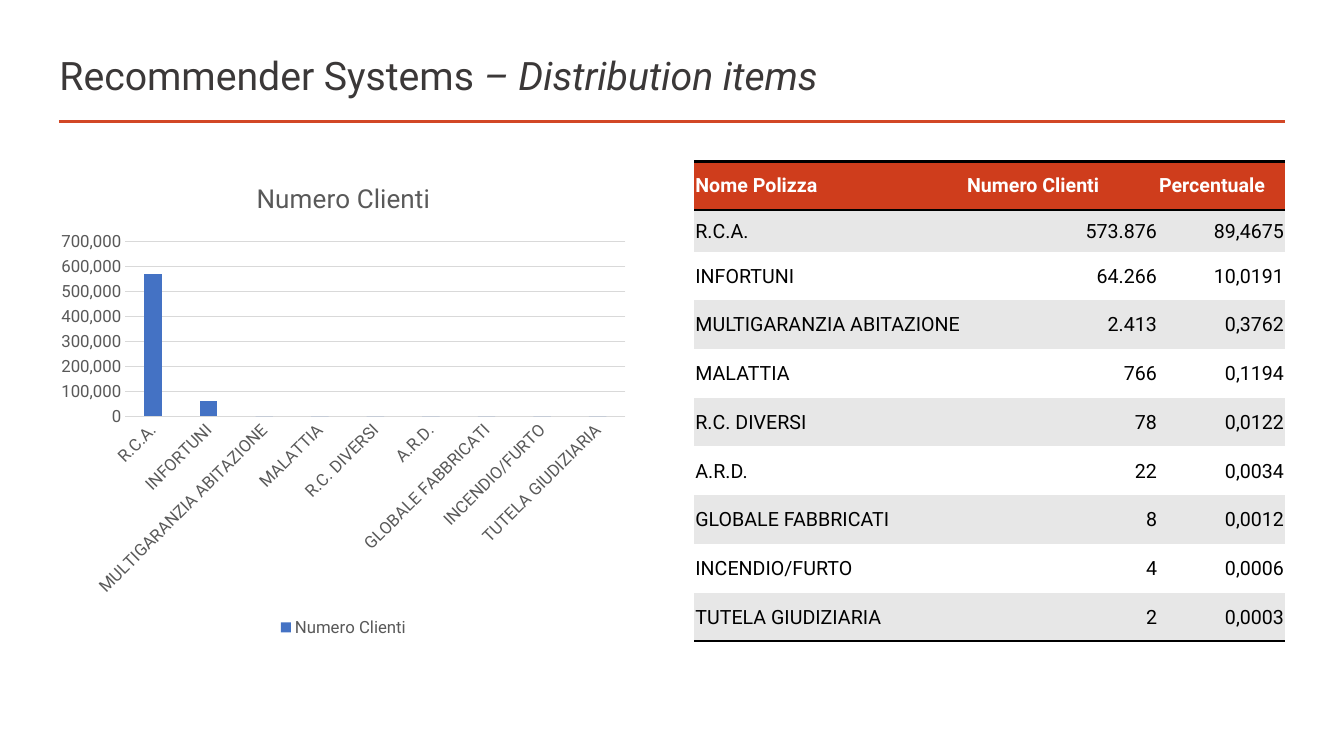
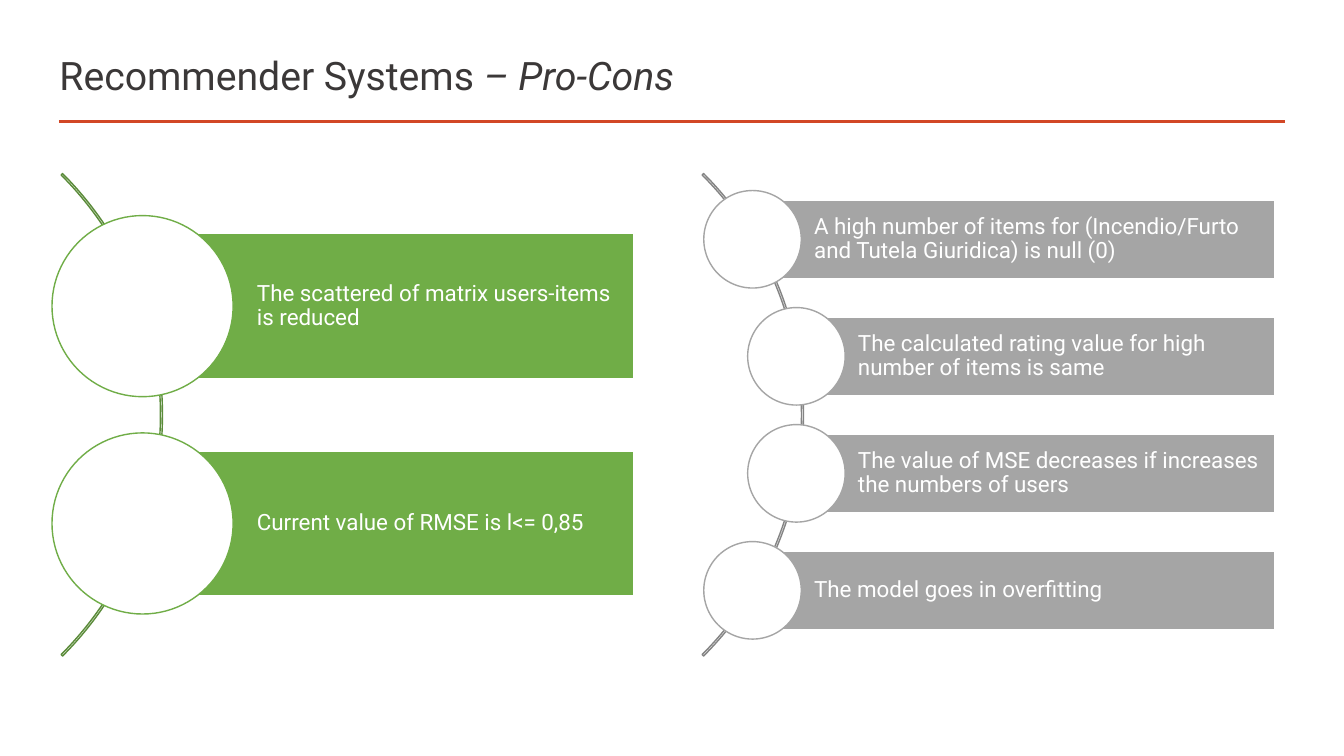
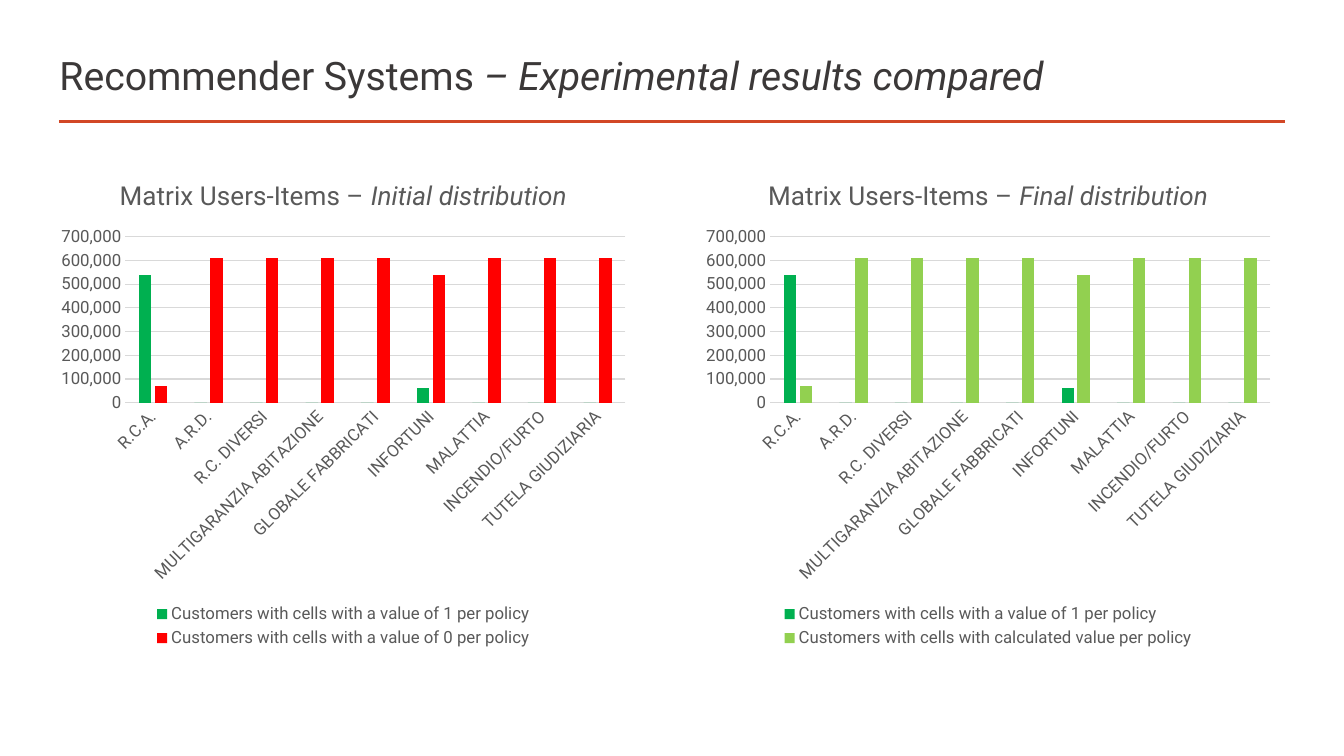
"""Build three slides on recommender systems for insurance policies."""
import math

from pptx import Presentation
from pptx import util as u
from pptx.chart import data as chart_data
from pptx.dml.color import RGBColor
from pptx.enum import chart as charts
from pptx.enum import shapes, text
from pptx.oxml import ns, parse_xml

Pt = u.Pt
FONT = "Roboto"
WHITE = RGBColor(0xFF, 0xFF, 0xFF)
BLACK = RGBColor(0x00, 0x00, 0x00)
TITLE_GRAY = RGBColor(0x3B, 0x38, 0x38)
RULE_RED = RGBColor(0xD2, 0x47, 0x26)
HEADER_RED = RGBColor(0xCF, 0x3D, 0x1C)
BAND_GRAY = RGBColor(0xE7, 0xE7, 0xE7)
CHART_GRAY = RGBColor(0x59, 0x59, 0x59)
GRID_GRAY = RGBColor(0xD9, 0xD9, 0xD9)
BLUE = RGBColor(0x44, 0x72, 0xC4)
GREEN = RGBColor(0x00, 0xB0, 0x50)
LIME = RGBColor(0x92, 0xD0, 0x50)
RED = RGBColor(0xFF, 0x00, 0x00)
PRO_GREEN = RGBColor(0x70, 0xAD, 0x47)
PRO_ARC = RGBColor(0x5A, 0x8B, 0x39)
CON_GRAY = RGBColor(0xA5, 0xA5, 0xA5)
CON_ARC = RGBColor(0x84, 0x84, 0x84)

LEFT, RIGHT, TOP = 35.4, 496, 115.2
CHART_WIDTH = 419.8
NO_TABLE_STYLE = "{2D5ABB26-0587-4C30-8999-92F81FD0307C}"
CELL_INSET = 0.72

HEADERS = ["Nome Polizza", "Numero Clienti", "Percentuale"]
POLICIES = [
    ("R.C.A.", "573.876", "89,4675"),
    ("INFORTUNI", "64.266", "10,0191"),
    ("MULTIGARANZIA ABITAZIONE", "2.413", "0,3762"),
    ("MALATTIA", "766", "0,1194"),
    ("R.C. DIVERSI", "78", "0,0122"),
    ("A.R.D.", "22", "0,0034"),
    ("GLOBALE FABBRICATI", "8", "0,0012"),
    ("INCENDIO/FURTO", "4", "0,0006"),
    ("TUTELA GIUDIZIARIA", "2", "0,0003"),
]
CUSTOMERS = [570000, 60000, 0, 0, 0, 0, 0, 0, 0]
MATRIX_POLICIES = [
    "R.C.A.", "A.R.D.", "R.C. DIVERSI", "MULTIGARANZIA ABITAZIONE",
    "GLOBALE FABBRICATI", "INFORTUNI", "MALATTIA", "INCENDIO/FURTO",
    "TUTELA GIUDIZIARIA",
]
ONES = [540000, 0, 0, 0, 0, 60000, 0, 0, 0]
OTHERS = [70000, 610000, 610000, 610000, 610000, 540000, 610000, 610000, 610000]
PROS = [
    "The scattered of matrix users-items is reduced",
    "Current value of RMSE is l<= 0,85",
]
CONS = [
    "A high number of items for (Incendio/Furto and Tutela Giuridica) is null (0)",
    "The calculated rating value for high number of items is same",
    "The value of MSE decreases if increases the numbers of users",
    "The model goes in overfitting",
]


def style_font(font, size, color, bold=None):
    """Apply the deck's typeface with a size and colour."""
    font.name, font.size, font.bold = FONT, Pt(size), bold
    font.color.rgb = color


def add_two_tone_text(paragraph, plain, italic):
    """Write a plain run followed by an italic one."""
    paragraph.add_run().text = plain
    if italic:
        run = paragraph.add_run()
        run.text = italic
        run.font.italic = True


def add_titled_slide(presentation, topic):
    """Add a blank slide with the shared title and red rule."""
    slide = presentation.slides.add_slide(presentation.slide_layouts[6])
    rule = slide.shapes.add_connector(
        shapes.MSO_CONNECTOR.STRAIGHT, Pt(42), Pt(87), Pt(917.6), Pt(87))
    rule.line.color.rgb = RULE_RED
    rule.line.width = Pt(2)
    properties = rule.element.find(ns.qn("p:spPr"))
    properties.append(properties.makeelement(ns.qn("a:effectLst"), {}))
    frame = slide.shapes.add_textbox(
        Pt(LEFT), Pt(33.6), Pt(882.7), Pt(44)).text_frame
    frame.word_wrap = True
    frame.vertical_anchor = text.MSO_ANCHOR.MIDDLE
    paragraph = frame.paragraphs[0]
    paragraph.line_spacing = 0.9
    add_two_tone_text(paragraph, "Recommender Systems ", "– " + topic)
    style_font(paragraph.font, 28, TITLE_GRAY)
    return slide


def add_column_chart(slide, box, title, categories, series):
    """Draw a clustered column chart from (name, values, colour) series."""
    data = chart_data.CategoryChartData(number_format="#,##0")
    data.categories = categories
    for name, values, _ in series:
        data.add_series(name, values)
    chart = slide.shapes.add_chart(
        charts.XL_CHART_TYPE.COLUMN_CLUSTERED, *map(Pt, box), data).chart
    style_font(chart.font, 10, BLACK)
    chart.has_title = True
    heading = chart.chart_title.text_frame.paragraphs[0]
    add_two_tone_text(heading, *title)
    style_font(heading.font, 18.6, CHART_GRAY, False)
    chart.has_legend = True
    chart.legend.position = charts.XL_LEGEND_POSITION.BOTTOM
    chart.legend.include_in_layout = False
    style_font(chart.legend.font, 12, CHART_GRAY)

    for axis in (chart.category_axis, chart.value_axis):
        axis.major_tick_mark = charts.XL_TICK_MARK.NONE
        axis.minor_tick_mark = charts.XL_TICK_MARK.NONE
        style_font(axis.tick_labels.font, 12, CHART_GRAY)
    category_line = chart.category_axis.format.line
    category_line.color.rgb = GRID_GRAY
    category_line.width = Pt(0.75)
    labels = next(chart.category_axis._element.iter(ns.qn("a:bodyPr")))
    labels.set("rot", "-2700000")
    value_axis = chart.value_axis
    value_axis.minimum_scale, value_axis.maximum_scale = 0, 700000
    value_axis.major_unit = 100000
    value_axis.tick_labels.number_format = "#,##0"
    value_axis.tick_labels.number_format_is_linked = False
    value_axis.format.line.fill.background()
    grid_line = value_axis.major_gridlines.format.line
    grid_line.color.rgb = GRID_GRAY
    grid_line.width = Pt(0.75)

    plot = chart.plots[0]
    plot.gap_width, plot.overlap = 219, -27
    plot.vary_by_categories = False
    for columns, (_, _, color) in zip(plot.series, series):
        columns.invert_if_negative = False
        columns.format.fill.solid()
        columns.format.fill.fore_color.rgb = color


def add_border(cell, side):
    """Draw a black two-point border on one side (T or B) of a cell."""
    cell._tc.get_or_add_tcPr().append(parse_xml(
        f'<a:ln{side} {ns.nsdecls("a")} w="25400"><a:solidFill>'
        f'<a:srgbClr val="{BLACK}"/></a:solidFill></a:ln{side}>'))


def fill_cell(cell, content, color, font_color, bold, align):
    """Set the text, fill and insets of a table cell."""
    cell.fill.solid()
    cell.fill.fore_color.rgb = color
    cell.vertical_anchor = text.MSO_ANCHOR.MIDDLE
    cell.margin_left = cell.margin_top = cell.margin_right = Pt(CELL_INSET)
    cell.margin_bottom = 0
    paragraph = cell.text_frame.paragraphs[0]
    paragraph.text = content
    paragraph.alignment = align
    style_font(paragraph.font, 14, font_color, bold)


def add_policy_table(slide, box):
    """Draw the banded table of policies."""
    rows = [HEADERS, *POLICIES]
    frame = slide.shapes.add_table(len(rows), len(HEADERS), *map(Pt, box))
    next(frame.element.iter(ns.qn("a:tableStyleId"))).text = NO_TABLE_STYLE
    table = frame.table
    for column, share in zip(table.columns, (0.46, 0.325, 0.215)):
        column.width = Pt(round(box[2] * share, 2))
    for row_index, row in enumerate(rows):
        is_header = row_index == 0
        table.rows[row_index].height = Pt(29.8 if row_index == 1 else 34.8)
        band = BAND_GRAY if row_index % 2 else WHITE
        for column_index, content in enumerate(row):
            cell = table.cell(row_index, column_index)
            if is_header:
                add_border(cell, "T")
            if is_header or row_index == len(rows) - 1:
                add_border(cell, "B")
            is_number = column_index > 0 and not is_header
            fill_cell(cell, content, HEADER_RED if is_header else band,
                      WHITE if is_header else BLACK, is_header,
                      text.PP_ALIGN.RIGHT if is_number else text.PP_ALIGN.LEFT)


def add_outlined_shape(slide, kind, box, fill, line):
    """Add a preset shape with a one-point outline and an optional fill."""
    shape = slide.shapes.add_shape(kind, *(Pt(round(n, 2)) for n in box))
    shape.shadow.inherit = False
    if fill is None:
        shape.fill.background()
    else:
        shape.fill.solid()
        shape.fill.fore_color.rgb = fill
    shape.line.color.rgb = line
    shape.line.width = Pt(1)
    return shape


def add_curved_list(slide, box, items, color, arc_color):
    """Hang labelled bars with circles along an arc."""
    left, top, width, height = box
    center_x, center_y = left - 163, top + height / 2
    arc_radius, node_radius = 243.7, 242.2
    arc = add_outlined_shape(
        slide, shapes.MSO_SHAPE.BLOCK_ARC,
        (center_x - arc_radius, center_y - arc_radius,
         2 * arc_radius, 2 * arc_radius), None, arc_color)
    for index, value in enumerate((189, 27, 0.003)):
        arc.adjustments[index] = value

    bar_height = height / (1.5 * len(items) + 0.5)
    diameter = 1.25 * bar_height
    for index, item in enumerate(items):
        offset = 1.5 * bar_height * (index - (len(items) - 1) / 2)
        node_x = center_x + math.sqrt(node_radius ** 2 - offset ** 2)
        node_y = center_y + offset
        bar = add_outlined_shape(
            slide, shapes.MSO_SHAPE.RECTANGLE,
            (node_x, node_y - bar_height / 2, left + width - node_x, bar_height),
            color, WHITE)
        frame = bar.text_frame
        frame.word_wrap = True
        frame.vertical_anchor = text.MSO_ANCHOR.MIDDLE
        frame.margin_left = Pt(round(0.79 * bar_height, 2))
        frame.margin_top = frame.margin_right = frame.margin_bottom = Pt(3)
        paragraph = frame.paragraphs[0]
        paragraph.text = item
        paragraph.alignment = text.PP_ALIGN.LEFT
        paragraph.line_spacing = 0.9
        style_font(paragraph.font, 16, WHITE)
        add_outlined_shape(
            slide, shapes.MSO_SHAPE.OVAL,
            (node_x - diameter / 2, node_y - diameter / 2, diameter, diameter),
            WHITE, color)


def build_distribution(presentation):
    """Build the slide with the customer chart and table."""
    slide = add_titled_slide(presentation, "Distribution items")
    add_column_chart(slide, (LEFT, TOP, CHART_WIDTH, 343),
                     ("Numero Clienti", ""), [row[0] for row in POLICIES],
                     [("Numero Clienti", CUSTOMERS, BLUE)])
    add_policy_table(slide, (RIGHT, TOP, 421.9, 343))


def build_pro_cons(presentation):
    """Build the slide that sets pros against cons."""
    slide = add_titled_slide(presentation, "Pro-Cons")
    for left, items, color, arc_color in (
            (LEFT, PROS, PRO_GREEN, PRO_ARC),
            (LEFT + 457.9, CONS, CON_GRAY, CON_ARC)):
        add_curved_list(slide, (left, TOP, 417.6, 362.2), items, color, arc_color)


def build_results(presentation):
    """Build the slide comparing initial and final distributions."""
    slide = add_titled_slide(presentation, "Experimental results compared")
    for left, stage, subject, color in (
            (LEFT, "Initial", "a value of 0", RED),
            (RIGHT, "Final", "calculated value", LIME)):
        add_column_chart(
            slide, (left, TOP, CHART_WIDTH, 350.6),
            ("Matrix Users-Items – ", f"{stage} distribution"), MATRIX_POLICIES,
            [("Customers with cells with a value of 1 per policy", ONES, GREEN),
             (f"Customers with cells with {subject} per policy", OTHERS, color)])


def main():
    """Build and save the presentation."""
    presentation = Presentation()
    presentation.slide_width, presentation.slide_height = Pt(960), Pt(540)
    build_distribution(presentation)
    build_pro_cons(presentation)
    build_results(presentation)
    presentation.save("out.pptx")


if __name__ == "__main__":
    main()
